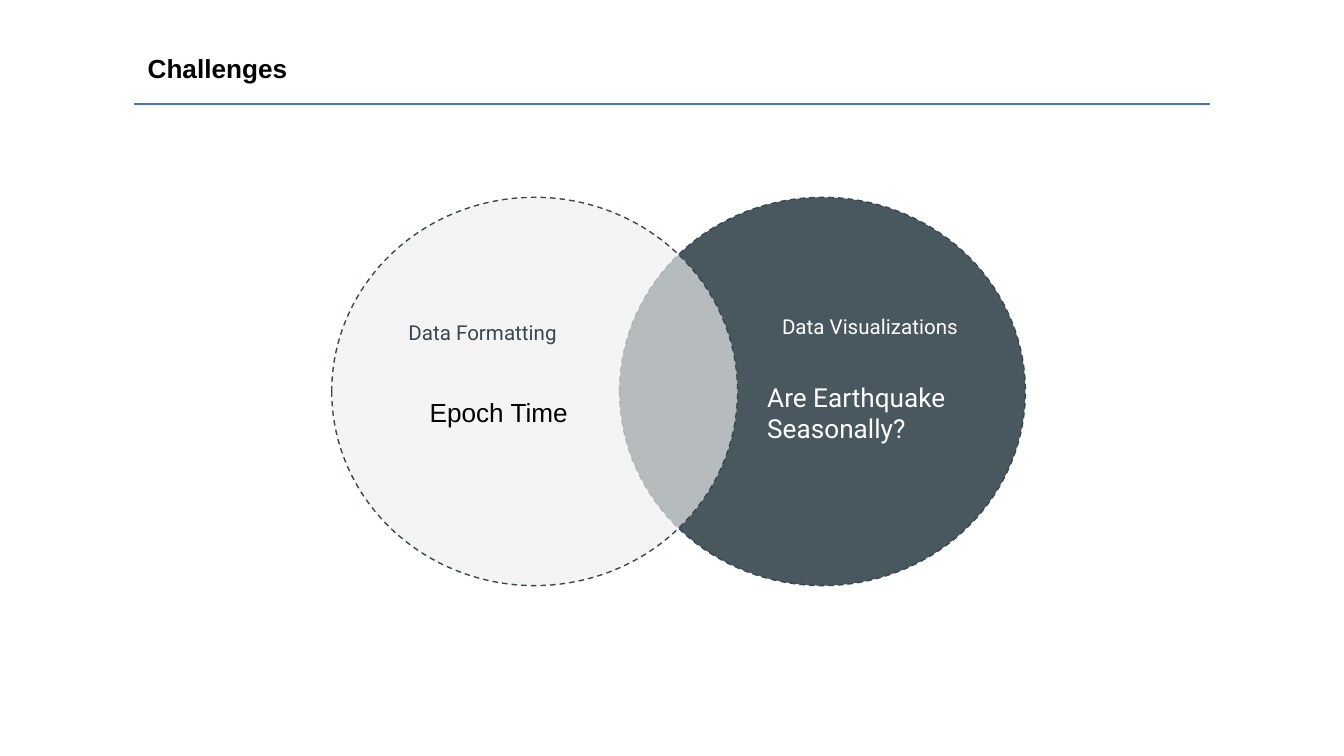
"""Build the Challenges slide with its two overlapping circles."""
from dataclasses import dataclass

from lxml.etree import SubElement
from pptx import Presentation
from pptx.dml.color import RGBColor as RGB
from pptx.enum.dml import MSO_LINE as Dash
from pptx.enum.shapes import MSO_CONNECTOR as Link, MSO_SHAPE as Shape
from pptx.enum.text import MSO_ANCHOR as Anchor, MSO_AUTO_SIZE as Fit, PP_ALIGN as Align
from pptx.oxml.ns import qn
from pptx.util import Cm, Pt


@dataclass(frozen=True)
class Theme:
    black: RGB = RGB(0x00, 0x00, 0x00)
    white: RGB = RGB(0xFF, 0xFF, 0xFF)
    slate: RGB = RGB(0x37, 0x47, 0x4F)
    pale: RGB = RGB(0xEF, 0xEF, 0xEF)
    blue: RGB = RGB(0x44, 0x72, 0xC4)
    large: Pt = Pt(14)
    small: Pt = Pt(11)
    sans: str = "Arial"
    round: str = "Roboto"


theme = Theme()


def write(box, text, face, size, color, anchor=Anchor.TOP, bold=False):
    frame = box.text_frame
    frame.text = text
    frame.word_wrap = True
    frame.auto_size = Fit.NONE
    frame.vertical_anchor = anchor
    frame.margin_left = frame.margin_right = Cm(0.25)
    frame.margin_top = frame.margin_bottom = Cm(0.25)
    para = frame.paragraphs[0]
    para.alignment = Align.LEFT
    font = para.runs[0].font
    font.name, font.size, font.bold = face, size, bold
    font.color.rgb = color
    return para


deck = Presentation()
deck.slide_width, deck.slide_height = Cm(25.4), Cm(14.29)
slide = deck.slides.add_slide(deck.slide_layouts[5])
shapes = slide.shapes

title = shapes.title
title.left, title.top, title.width, title.height = Cm(2.54), Cm(0.74), Cm(7.47), Cm(1.12)
write(title, "Challenges", theme.sans, theme.large, theme.black, bold=True)

rule = shapes.add_connector(Link.STRAIGHT, Cm(2.54), Cm(1.96), Cm(22.86), Cm(1.96))
rule.line.color.rgb = theme.blue
rule.line.width = Pt(1)
SubElement(rule.element.spPr, qn("a:effectLst"))

for left, color, alpha in [(11.71, theme.slate, 91), (6.27, theme.pale, 66)]:
    disc = shapes.add_shape(Shape.OVAL, Cm(left), Cm(3.73), Cm(7.67), Cm(7.34))
    disc.shadow.inherit = False
    disc.fill.solid()
    disc.fill.fore_color.rgb = color
    tint = disc.element.spPr.find(qn("a:solidFill"))[0]
    SubElement(tint, qn("a:alpha")).set("val", str(alpha * 1000))
    disc.line.color.rgb = theme.slate
    disc.line.width = Pt(0.75)
    disc.line.dash_style = Dash.DASH

heads = [
    ("Data Visualizations", 14.53, 5.11, theme.white),
    ("Data Formatting", 7.47, 5.21, theme.slate),
]
for text, left, top, color in heads:
    box = shapes.add_textbox(Cm(left), Cm(top), Cm(4.45), Cm(2.06))
    para = write(box, text, theme.round, theme.small, color, Anchor.MIDDLE)
    para.line_spacing = 1.15

notes = [
    ("Epoch Time", 7.87, 7.24, theme.sans, theme.black),
    ("Are Earthquake Seasonally?", 14.25, 6.96, theme.round, theme.white),
]
for text, left, top, face, color in notes:
    box = shapes.add_textbox(Cm(left), Cm(top), Cm(5.13), Cm(2.41))
    write(box, text, face, theme.large, color)

deck.save("out.pptx")
